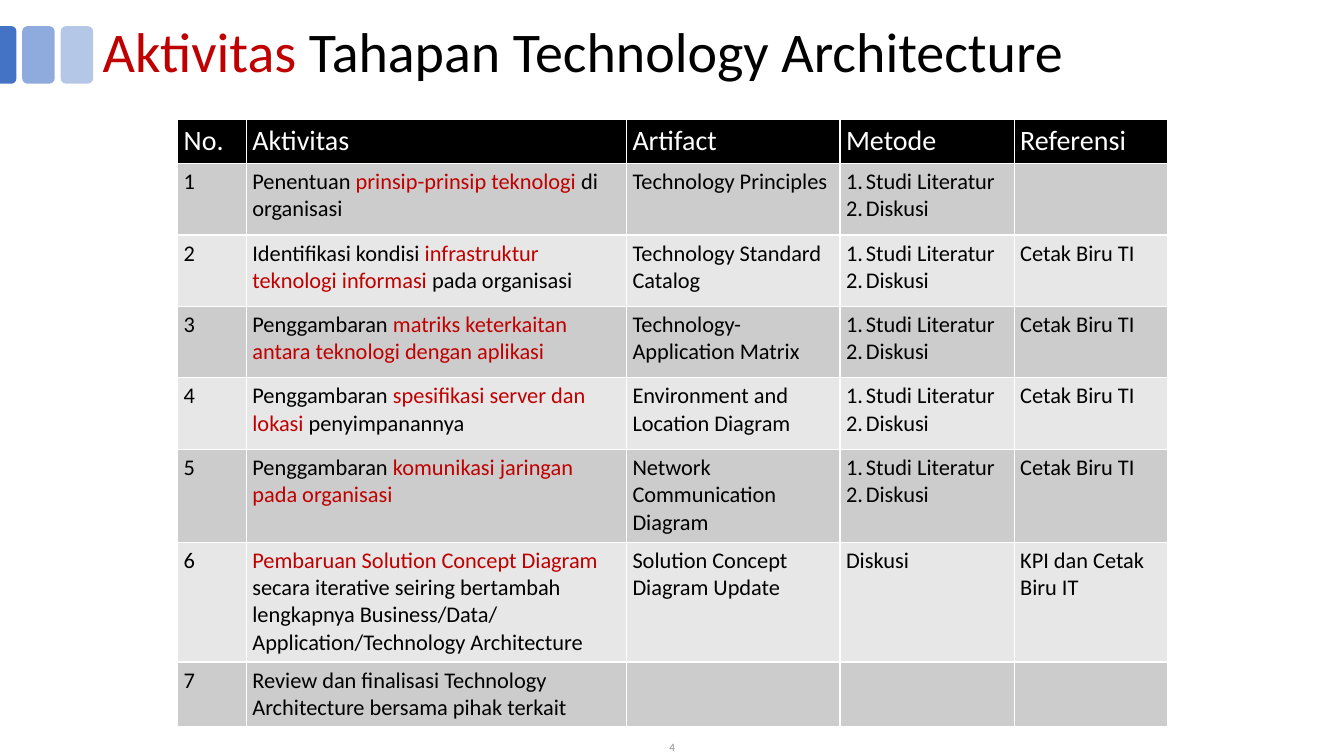
import pptx
import pptx.util
import pptx.dml.color
import pptx.enum.shapes
import pptx.enum.text
from lxml import etree

Cm = pptx.util.Cm
Pt = pptx.util.Pt
RGBColor = pptx.dml.color.RGBColor
MSO_SHAPE = pptx.enum.shapes.MSO_SHAPE
PP_ALIGN = pptx.enum.text.PP_ALIGN

BLACK = RGBColor(0x00, 0x00, 0x00)
WHITE = RGBColor(0xFF, 0xFF, 0xFF)
RED = RGBColor(0xC0, 0x00, 0x00)
GREY = RGBColor(0x8C, 0x8C, 0x8C)
ODD_ROW = RGBColor(0xCC, 0xCC, 0xCC)
EVEN_ROW = RGBColor(0xE7, 0xE7, 0xE7)
DARK_BLUE = RGBColor(0x44, 0x72, 0xC4)
MID_BLUE = RGBColor(0x8F, 0xAA, 0xDC)
LIGHT_BLUE = RGBColor(0xB4, 0xC7, 0xE7)

FONT = "Calibri"
COLUMN_WIDTHS = [1.73, 9.58, 5.38, 4.39, 3.86]
ROW_HEIGHTS = [1.12, 1.8, 1.8, 1.8, 1.8, 2.34, 3.02, 1.62]
HEADINGS = ["No.", "Aktivitas", "Artifact", "Metode", "Referensi"]
STUDY_AND_DISCUSSION = ["Studi Literatur", "Diskusi"]
BLUEPRINT = "Cetak Biru TI"

# Each activity is (before, highlighted, after), then artifact, methods, reference
ACTIVITIES = [
    (("Penentuan ", "prinsip-prinsip teknologi ", "di organisasi"),
     "Technology Principles", STUDY_AND_DISCUSSION, ""),
    (("Identifikasi kondisi ", "infrastruktur teknologi informasi ", "pada organisasi"),
     "Technology Standard Catalog", STUDY_AND_DISCUSSION, BLUEPRINT),
    (("Penggambaran ", "matriks keterkaitan antara teknologi dengan aplikasi", ""),
     "Technology-Application Matrix", STUDY_AND_DISCUSSION, BLUEPRINT),
    (("Penggambaran ", "spesifikasi server dan lokasi ", "penyimpanannya"),
     "Environment and Location Diagram", STUDY_AND_DISCUSSION, BLUEPRINT),
    (("Penggambaran ", "komunikasi jaringan pada organisasi", ""),
     "Network Communication Diagram", STUDY_AND_DISCUSSION, BLUEPRINT),
    (("", "Pembaruan Solution Concept Diagram ",
      "secara iterative seiring bertambah lengkapnya Business/Data/ "
      "Application/Technology Architecture"),
     "Solution Concept Diagram Update", ["Diskusi"], "KPI dan Cetak Biru IT"),
    (("Review dan finalisasi Technology Architecture bersama pihak terkait", "", ""),
     "", [], ""),
]


def write(paragraph, size, *pieces):
    """Fill a paragraph with (text, colour) pieces in one size."""
    paragraph.font.name = FONT
    paragraph.font.size = Pt(size)
    for text, color in pieces:
        if text:
            run = paragraph.add_run()
            run.text = text
            run.font.color.rgb = color
            run.font.bold = False


def number_paragraph(paragraph):
    properties = paragraph._p.get_or_add_pPr()
    properties.set("marL", str(Cm(0.5)))
    properties.set("indent", str(-Cm(0.5)))
    numbering = etree.Element(pptx.oxml.ns.qn("a:buAutoNum"), type="arabicPeriod")
    properties.insert(0, numbering)


def add_text_line(slide, left, top, width, height):
    """Add a vertically centred text box and return its paragraph."""
    frame = slide.shapes.add_textbox(Cm(left), Cm(top), Cm(width), Cm(height)).text_frame
    frame.word_wrap = True
    frame.vertical_anchor = pptx.enum.text.MSO_ANCHOR.MIDDLE
    return frame.paragraphs[0]


def add_bar(slide, kind, color, left, top, width, height):
    bar = slide.shapes.add_shape(kind, Cm(left), Cm(top), Cm(width), Cm(height))
    bar.shadow.inherit = False
    bar.fill.solid()
    bar.fill.fore_color.rgb = color
    bar.line.fill.background()
    return bar


def add_title_bars(slide, left, top, width, height):
    """Draw two full bars and a half bar at the left edge of the box."""
    edge = width / 2
    gap = 0.15
    for index, color in enumerate([MID_BLUE, LIGHT_BLUE]):
        bar_left = left + edge + gap + index * (width + gap)
        add_bar(slide, MSO_SHAPE.ROUNDED_RECTANGLE, color, bar_left, top, width, height)
    # The half bar lies on its side and is turned so its round corners face right
    half = add_bar(slide, MSO_SHAPE.ROUND_2_SAME_RECTANGLE, DARK_BLUE,
                   left + (edge - height) / 2, top + (height - edge) / 2, height, edge)
    half.adjustments[0] = 0.29
    half.rotation = 90


def add_title(slide, left, top, width, height):
    title = add_text_line(slide, left, top, width, height)
    title.line_spacing = 0.9
    write(title, 40, ("Aktivitas", RED), (" Tahapan Technology Architecture", BLACK))


def style_cell(cell, fill):
    cell.fill.solid()
    cell.fill.fore_color.rgb = fill
    cell.margin_left = cell.margin_right = Cm(0.15)
    cell.margin_top = cell.margin_bottom = Cm(0.12)


def fill_methods(cell, methods):
    frame = cell.text_frame
    for index, method in enumerate(methods):
        paragraph = frame.add_paragraph() if index else frame.paragraphs[0]
        write(paragraph, 16, (method, BLACK))
        if len(methods) > 1:
            number_paragraph(paragraph)


def add_activity_table(slide, left, top):
    table = slide.shapes.add_table(
        len(ROW_HEIGHTS), len(COLUMN_WIDTHS), Cm(left), Cm(top),
        Cm(sum(COLUMN_WIDTHS)), Cm(sum(ROW_HEIGHTS))).table
    for column, width in zip(table.columns, COLUMN_WIDTHS):
        column.width = Cm(width)
    for row, height in zip(table.rows, ROW_HEIGHTS):
        row.height = Cm(height)

    for cell, heading in zip(table.rows[0].cells, HEADINGS):
        style_cell(cell, BLACK)
        write(cell.text_frame.paragraphs[0], 20, (heading, WHITE))

    for number, (activity, artifact, methods, reference) in enumerate(ACTIVITIES, 1):
        cells = list(table.rows[number].cells)
        for cell in cells:
            style_cell(cell, ODD_ROW if number % 2 else EVEN_ROW)
        for column, text in [(0, str(number)), (2, artifact), (4, reference)]:
            write(cells[column].text_frame.paragraphs[0], 16, (text, BLACK))
        write(cells[1].text_frame.paragraphs[0], 16, *zip(activity, [BLACK, RED, BLACK]))
        fill_methods(cells[3], methods)


def add_page_number(slide, left, top, width, height):
    page = add_text_line(slide, left, top, width, height)
    page.alignment = PP_ALIGN.CENTER
    write(page, 8, ("4", GREY))


def main():
    presentation = pptx.Presentation()
    presentation.slide_width = Cm(33.87)
    presentation.slide_height = Cm(19.05)
    slide = presentation.slides.add_slide(presentation.slide_layouts[6])
    add_title_bars(slide, 0, 0.66, 0.82, 1.45)
    add_activity_table(slide, 4.48, 3)
    add_title(slide, 2.34, 0.43, 31.5, 1.9)
    add_page_number(slide, 13.13, 18.6, 7.62, 0.45)
    presentation.save("out.pptx")


if __name__ == "__main__":
    main()
